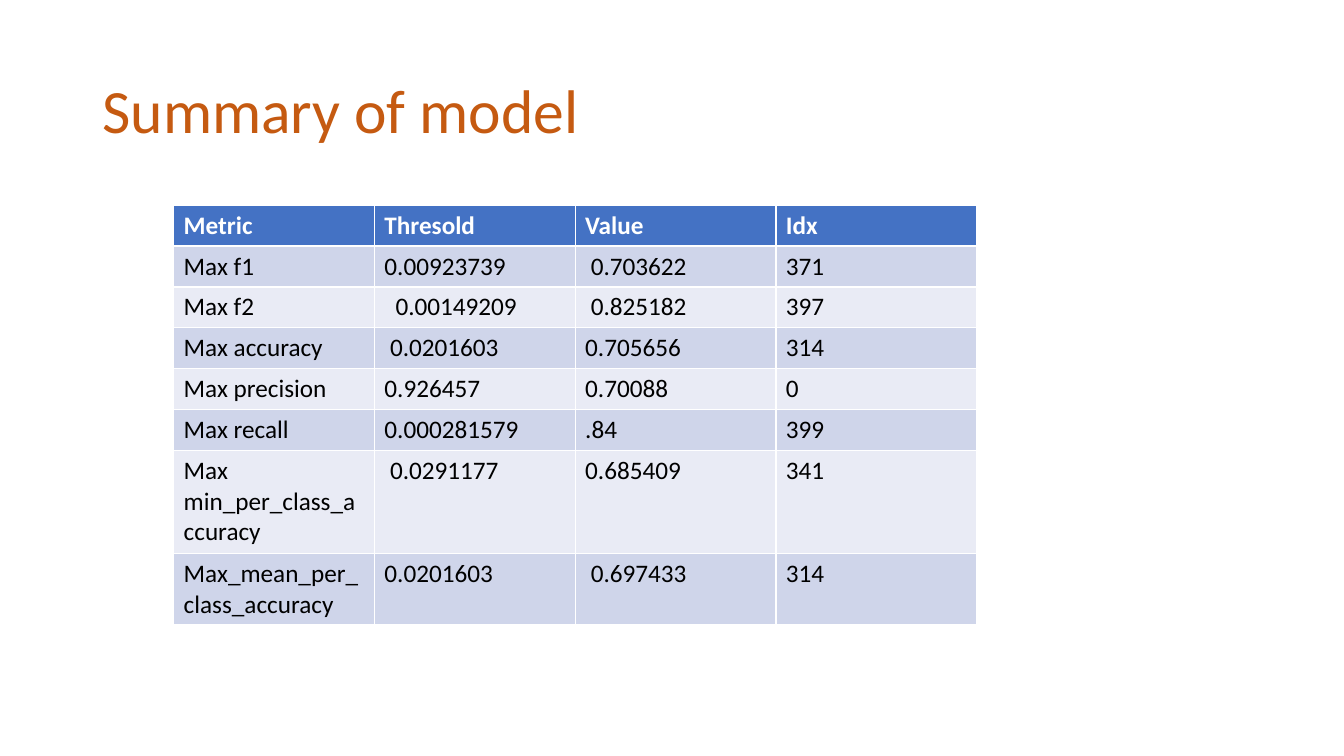
from pptx import Presentation
from pptx.dml.color import RGBColor
from pptx.enum.text import MSO_ANCHOR as Anchor, PP_ALIGN as Align
from pptx.util import Cm, Pt

ORANGE = RGBColor(0xC5, 0x5A, 0x11)
BLUE = RGBColor(0x44, 0x72, 0xC4)
BAND_DARK = RGBColor(0xCF, 0xD5, 0xEA)
BAND_LIGHT = RGBColor(0xE9, 0xEB, 0xF5)
WHITE = RGBColor(0xFF, 0xFF, 0xFF)
BLACK = RGBColor(0x00, 0x00, 0x00)

METRICS = [
    ("Metric", "Thresold", "Value", "Idx"),
    ("Max f1", "0.00923739", "0.703622", "371"),
    ("Max f2", "0.00149209", "0.825182", "397"),
    ("Max accuracy", "0.0201603", "0.705656", "314"),
    ("Max precision", "0.926457", "0.70088", "0"),
    ("Max recall", "0.000281579", ".84", "399"),
    ("Max min_per_class_accuracy", "0.0291177", "0.685409", "341"),
    ("Max_mean_per_class_accuracy", "0.0201603", "0.697433", "314"),
]
ROW_HEIGHTS = [1.03] * 6 + [2.59, 1.81]
COLUMN_WIDTH = 5.06
CELL_MARGIN = 0.25
# Extra left margin in cm, by (row, column)
INDENTS = {(1, 2): 0.14, (2, 1): 0.28, (2, 2): 0.14,
           (3, 1): 0.14, (6, 1): 0.14, (7, 2): 0.14}


def format_text(paragraph, color, size, bold=False):
    font = paragraph.runs[0].font
    font.color.rgb = color
    for name, value in {"name": "Calibri", "size": Pt(size), "bold": bold}.items():
        setattr(font, name, value)


presentation = Presentation()
presentation.slide_width = Cm(33.87)
presentation.slide_height = Cm(19.05)
slide = presentation.slides.add_slide(presentation.slide_layouts[5])

title = slide.shapes.title
title_box = {"left": 2.33, "top": 1.01, "width": 29.21, "height": 3.68}
for name, value in title_box.items():
    setattr(title, name, Cm(value))
title.text_frame.text = "Summary of model"
title.text_frame.vertical_anchor = Anchor.MIDDLE
heading = title.text_frame.paragraphs[0]
heading.alignment = Align.LEFT
heading.line_spacing = 0.9
format_text(heading, ORANGE, 44)

column_count = len(METRICS[0])
table = slide.shapes.add_table(
    len(METRICS), column_count, Cm(4.38), Cm(5.17),
    Cm(COLUMN_WIDTH * column_count), Cm(sum(ROW_HEIGHTS))).table
for column in table.columns:
    column.width = Cm(COLUMN_WIDTH)

for row_index, (values, height) in enumerate(zip(METRICS, ROW_HEIGHTS)):
    table.rows[row_index].height = Cm(height)
    is_header = row_index == 0
    band = BAND_DARK if row_index % 2 else BAND_LIGHT
    for column_index, value in enumerate(values):
        cell = table.cell(row_index, column_index)
        cell.text = value
        cell.margin_left = Cm(CELL_MARGIN + INDENTS.get((row_index, column_index), 0))
        cell.fill.solid()
        cell.fill.fore_color.rgb = BLUE if is_header else band
        format_text(cell.text_frame.paragraphs[0],
                    WHITE if is_header else BLACK, 18, is_header)

presentation.save("out.pptx")
